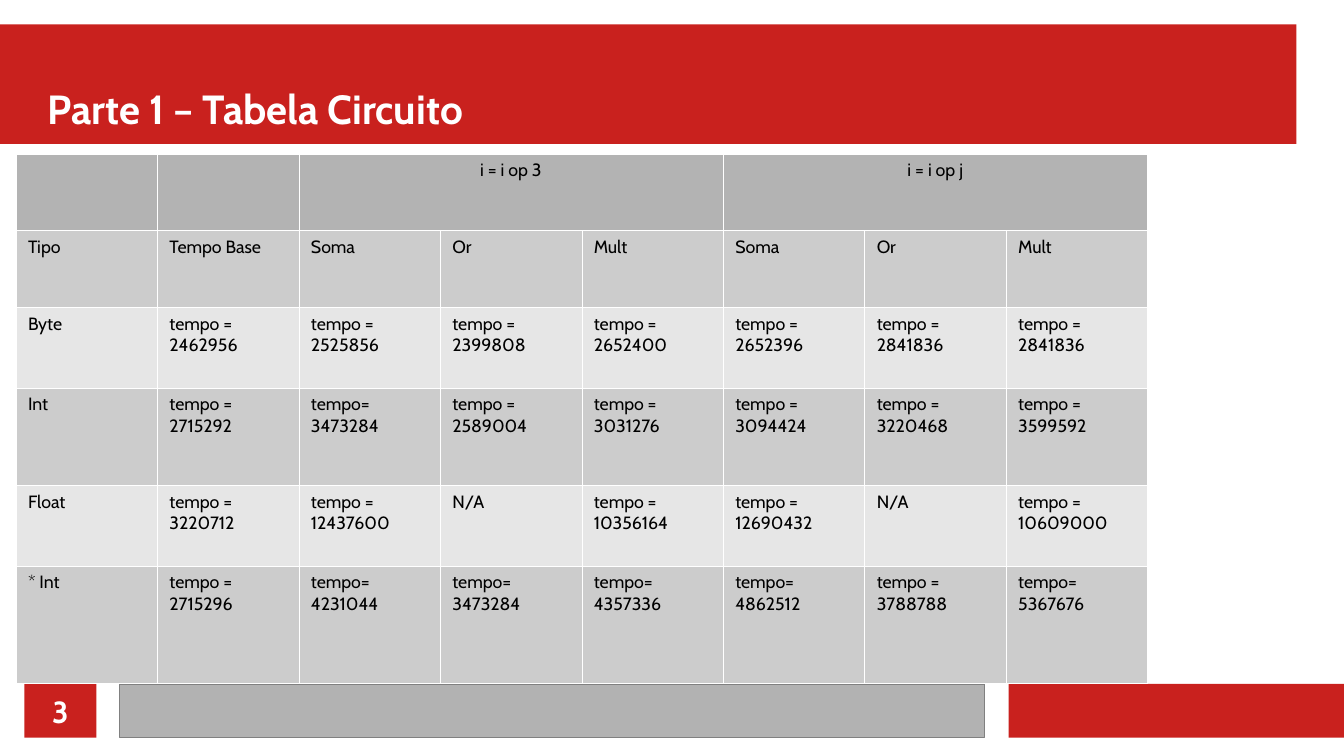
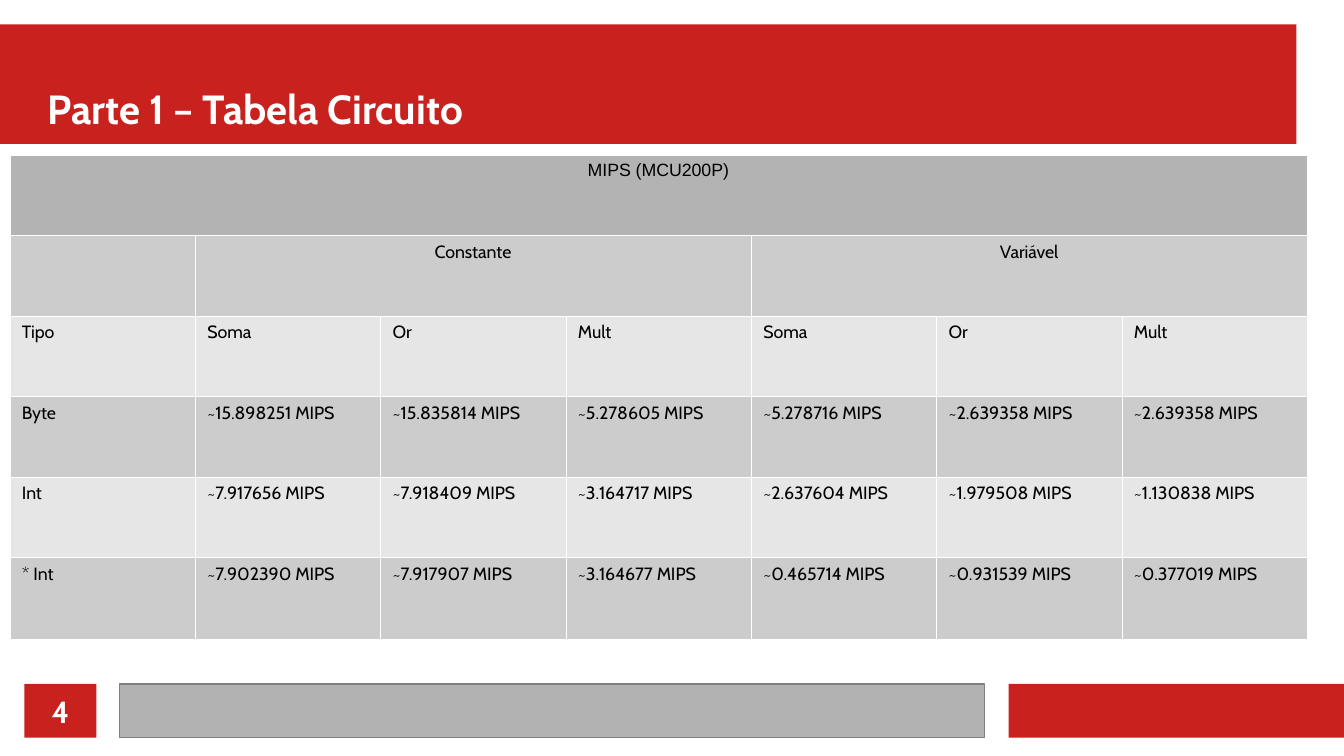
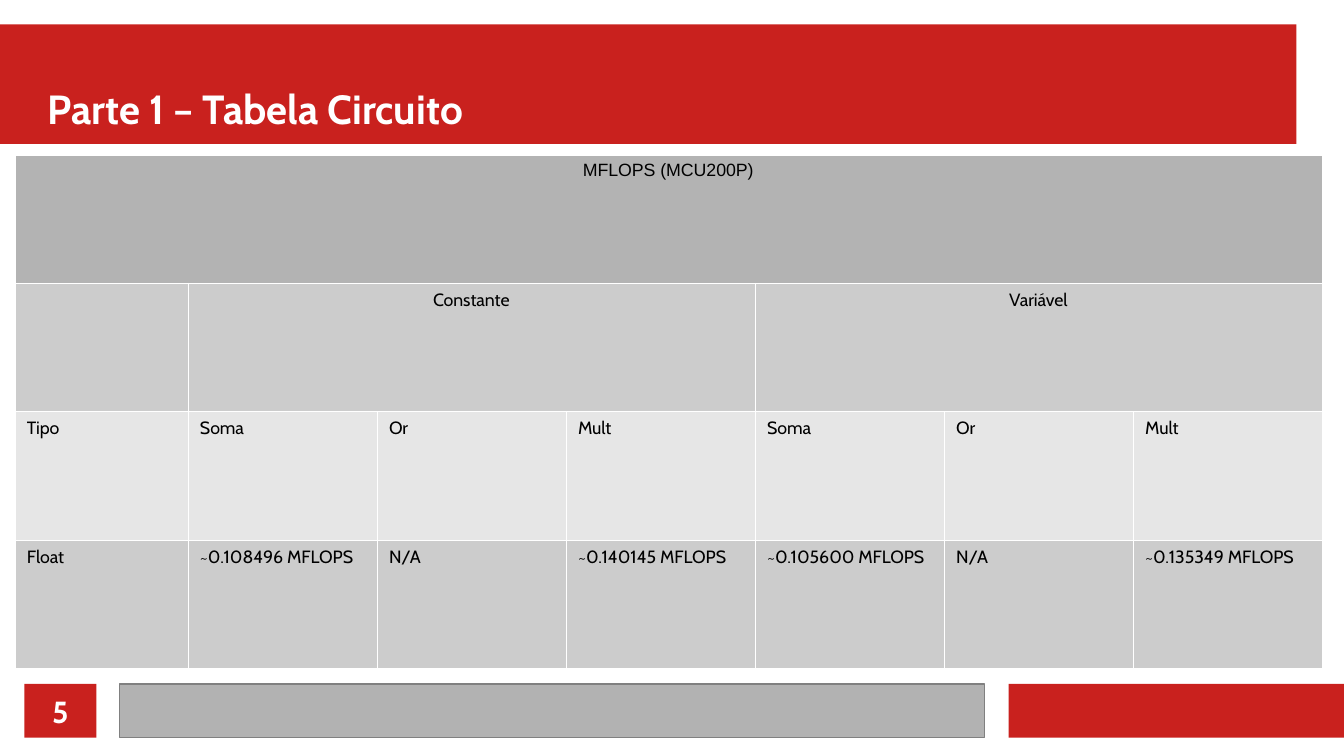
from lxml import etree
from pptx import Presentation
from pptx import util as u
from pptx.dml.color import RGBColor
from pptx.enum import shapes, text
from pptx.oxml import ns

RED = RGBColor(0xC9, 0x21, 0x1E)
WHITE = RGBColor(0xFF, 0xFF, 0xFF)
BLACK = RGBColor(0x00, 0x00, 0x00)
BAND_GRAY = RGBColor(0xB2, 0xB2, 0xB2)
OUTLINE_GRAY = RGBColor(0x80, 0x80, 0x80)
HEADER_GRAY = RGBColor(0xB3, 0xB3, 0xB3)
ROW_GRAYS = (RGBColor(0xE6, 0xE6, 0xE6), RGBColor(0xCC, 0xCC, 0xCC))

MERGED = None
OPERATIONS = ["Soma", "Or", "Mult"] * 2


class Deck:
    font_name = "Cabin"
    caption_font = "Arial"
    cell_size = 10.5
    border_width = 0.06

    def __init__(self, width, height):
        self.presentation = Presentation()
        self.presentation.slide_width = u.Inches(width)
        self.presentation.slide_height = u.Inches(height)
        self.slide = None

    def add_slide(self, title, number):
        self.slide = self.presentation.slides.add_slide(self.presentation.slide_layouts[6])
        self.band(0, 0.2, 10.63, 0.98, RED)
        self.band(8.27, 5.61, 2.75, 0.44, RED)
        self.band(0.98, 5.61, 7.09, 0.44, BAND_GRAY, OUTLINE_GRAY)
        number_box = self.band(0.2, 5.61, 0.59, 0.44, RED)
        self.label(number_box, str(number), 18, text.PP_ALIGN.CENTER, text.MSO_ANCHOR.MIDDLE)
        title_box = self.slide.shapes.add_textbox(*map(u.Inches, (0.39, 0.3, 10.24, 0.79)))
        self.label(title_box, title, 24, text.PP_ALIGN.LEFT, text.MSO_ANCHOR.BOTTOM)

    def band(self, left, top, width, height, fill, outline=None):
        shape = self.slide.shapes.add_shape(
            shapes.MSO_SHAPE.RECTANGLE, *map(u.Inches, (left, top, width, height)))
        shape.shadow.inherit = False
        shape.fill.solid()
        shape.fill.fore_color.rgb = fill
        if outline is None:
            shape.line.fill.background()
        else:
            shape.line.color.rgb = outline
            shape.line.width = u.Pt(0)
        return shape

    def run(self, paragraph, content, size, color, bold=False, font_name=font_name):
        run = paragraph.add_run()
        run.text = content
        run.font.name = font_name
        run.font.size = u.Pt(size)
        run.font.bold = bold
        run.font.color.rgb = color

    def label(self, shape, content, size, alignment, anchor):
        frame = shape.text_frame
        frame.word_wrap = True
        frame.vertical_anchor = anchor
        frame.margin_left = frame.margin_right = frame.margin_top = frame.margin_bottom = 0
        paragraph = frame.paragraphs[0]
        paragraph.alignment = alignment
        self.run(paragraph, content, size, WHITE, bold=True)

    def table(self, left, top, column_widths, row_heights, rows):
        graphic = self.slide.shapes.add_table(
            len(rows), len(column_widths),
            *map(u.Inches, (left, top, sum(column_widths), sum(row_heights))))
        table = graphic.table
        table.first_row = table.horz_banding = False
        for column, width in zip(table.columns, column_widths):
            column.width = u.Inches(width)
        for row, height in zip(table.rows, row_heights):
            row.height = u.Inches(height)
        for row_index, values in enumerate(rows):
            fill = ROW_GRAYS[row_index % 2] if row_index else HEADER_GRAY
            for column_index, value in enumerate(values):
                cell = table.cell(row_index, column_index)
                self.style_cell(cell, fill)
                if value is not MERGED:
                    end = column_index + 1
                    while end < len(values) and values[end] is MERGED:
                        end += 1
                    if end > column_index + 1:
                        cell.merge(table.cell(row_index, end - 1))
                    self.fill_cell(cell, value, end - column_index, len(values))

    def fill_cell(self, cell, value, span, column_count):
        if not value:
            return
        paragraph = cell.text_frame.paragraphs[0]
        paragraph.alignment = text.PP_ALIGN.CENTER if span > 1 else text.PP_ALIGN.LEFT
        font_name = self.caption_font if span == column_count else self.font_name
        self.run(paragraph, value, self.cell_size, BLACK, font_name=font_name)

    def style_cell(self, cell, fill):
        cell.fill.solid()
        cell.fill.fore_color.rgb = fill
        properties = cell._tc.get_or_add_tcPr()
        for position, side in enumerate(("a:lnL", "a:lnR", "a:lnT", "a:lnB")):
            line = etree.Element(ns.qn(side), w=str(u.Pt(self.border_width)))
            solid = etree.SubElement(line, ns.qn("a:solidFill"))
            etree.SubElement(solid, ns.qn("a:srgbClr"), val=str(WHITE))
            properties.insert(position, line)


def rate_rows(caption, unit, measurements):
    rows = [
        [caption] + [MERGED] * 6,
        ["", "Constante", MERGED, MERGED, "Variável", MERGED, MERGED],
        ["Tipo"] + OPERATIONS,
    ]
    for kind, rates in measurements:
        rows.append([kind] + [rate if rate == "N/A" else f"~{rate} {unit}" for rate in rates])
    return rows


TIME_ROWS = [
    ["", "", "i = i op 3", MERGED, MERGED, "i = i op j", MERGED, MERGED],
    ["Tipo", "Tempo Base"] + OPERATIONS,
    ["Byte", "tempo = 2462956", "tempo = 2525856", "tempo = 2399808", "tempo = 2652400",
     "tempo = 2652396", "tempo = 2841836", "tempo = 2841836"],
    ["Int", "tempo = 2715292", "tempo= 3473284", "tempo = 2589004", "tempo = 3031276",
     "tempo = 3094424", "tempo = 3220468", "tempo = 3599592"],
    ["Float", "tempo = 3220712", "tempo = 12437600", "N/A", "tempo = 10356164",
     "tempo = 12690432", "N/A", "tempo = 10609000"],
    ["* Int", "tempo = 2715296", "tempo= 4231044", "tempo= 3473284", "tempo= 4357336",
     "tempo= 4862512", "tempo = 3788788", "tempo= 5367676"],
]

MIPS_ROWS = rate_rows("MIPS (MCU200P)", "MIPS", [
    ("Byte", ["15.898251", "15.835814", "5.278605", "5.278716", "2.639358", "2.639358"]),
    ("Int", ["7.917656", "7.918409", "3.164717", "2.637604", "1.979508", "1.130838"]),
    ("* Int", ["7.902390", "7.917907", "3.164677", "0.465714", "0.931539", "0.377019"]),
])

MFLOPS_ROWS = rate_rows("MFLOPS (MCU200P)", "MFLOPS", [
    ("Float", ["0.108496", "N/A", "0.140145", "0.105600", "N/A", "0.135349"]),
])


def main():
    deck = Deck(11.02, 6.2)
    tables = [
        (0.13, 1.26, [1.16] * 8, [0.63, 0.63, 0.66, 0.8, 0.66, 0.96], TIME_ROWS),
        (0.08, 1.27, [1.52] * 7, [0.66] * 5 + [0.67], MIPS_ROWS),
        (0.12, 1.27, [1.42] + [1.55] * 6, [1.05, 1.05, 1.06, 1.05], MFLOPS_ROWS),
    ]
    for number, table in enumerate(tables, start=3):
        deck.add_slide("Parte 1 – Tabela Circuito", number)
        deck.table(*table)
    deck.presentation.save("out.pptx")


if __name__ == "__main__":
    main()
